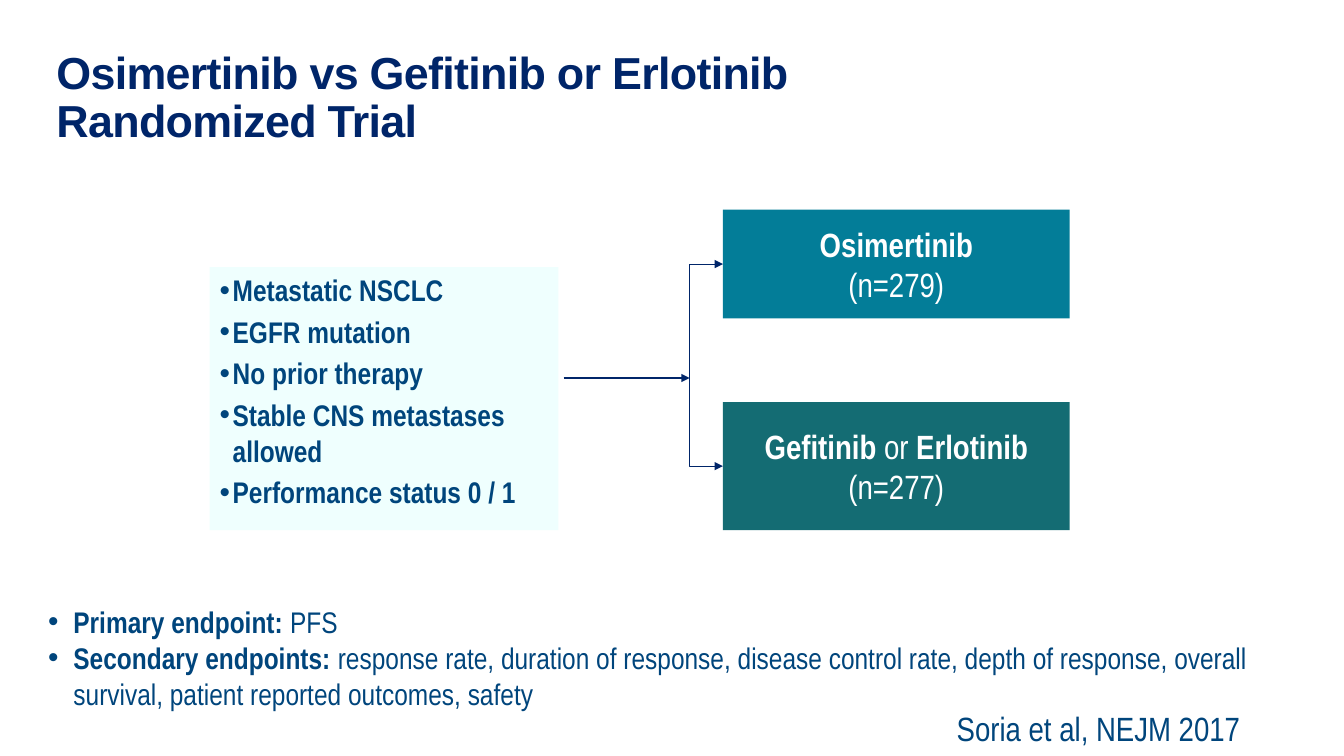
from pptx import Presentation
from pptx.dml.color import RGBColor
from pptx.enum.shapes import MSO_CONNECTOR, MSO_SHAPE
from pptx.enum.text import MSO_ANCHOR, PP_ALIGN
from pptx.oxml.ns import qn
from pptx.util import Inches, Pt
from lxml import etree

RECT = MSO_SHAPE.RECTANGLE
LINE, ELBOW = MSO_CONNECTOR.STRAIGHT, MSO_CONNECTOR.ELBOW
TOP, MIDDLE = MSO_ANCHOR.TOP, MSO_ANCHOR.MIDDLE
LEFT, CENTER = PP_ALIGN.LEFT, PP_ALIGN.CENTER
NAVY, BLUE, WHITE = "002569", "00457C", "FFFFFF"
PALE, TEAL, GREEN = "EFFFFE", "037D98", "146C73"
NARROW = "Arial Narrow"
BODY = 21.33


def color(code):
    return RGBColor.from_string(code)


def add_run(para, text, size, code, bold=False, face=NARROW):
    run = para.add_run()
    run.text = text
    font = run.font
    font.name, font.size, font.bold = face, Pt(size), bold
    font.color.rgb = color(code)
    return run


def add_bullet(para, indent):
    props = para._p.get_or_add_pPr()
    props.set("marL", str(Inches(indent)))
    props.set("indent", str(-Inches(indent)))
    etree.SubElement(props, qn("a:buFont")).set("typeface", "Arial")
    etree.SubElement(props, qn("a:buChar")).set("char", "•")


def set_frame(shape, inset=None, anchor=TOP, wrap=True):
    frame = shape.text_frame
    frame.word_wrap = wrap
    frame.vertical_anchor = anchor
    if inset is not None:
        frame.margin_left = frame.margin_right = Inches(inset)
        frame.margin_top = frame.margin_bottom = Inches(inset)
    return frame


def add_text(slide, box, **look):
    return set_frame(slide.shapes.add_textbox(*map(Inches, box)), **look)


def add_rect(slide, box, fill):
    rect = slide.shapes.add_shape(RECT, *map(Inches, box))
    rect.shadow.inherit = False
    rect.fill.solid()
    rect.fill.fore_color.rgb = color(fill)
    rect.line.fill.background()
    return rect


def fill_rows(frame, rows, size, code, align=LEFT, indent=None, after=0):
    """Each row is a list of (text, bold) runs."""
    for i, row in enumerate(rows):
        para = frame.paragraphs[0] if i == 0 else frame.add_paragraph()
        para.alignment = align
        para.space_after = Pt(after)
        if indent:
            add_bullet(para, indent)
        for text, bold in row:
            add_run(para, text, size, code, bold)


def add_arrow(slide, kind, start, end):
    arrow = slide.shapes.add_connector(kind, *map(Inches, start + end))
    arrow.line.color.rgb = color(NAVY)
    arrow.line.width = Pt(0.75)
    etree.SubElement(arrow.line._ln, qn("a:tailEnd")).set("type", "triangle")
    etree.SubElement(arrow._element.spPr, qn("a:effectLst"))
    return arrow


def add_bend(slide, start, end):
    """One-corner arrow, first vertical and then to the right."""
    (x1, y1), (x2, y2) = start, end
    midx, midy = (x1 + x2) / 2, (y1 + y2) / 2
    halfx, halfy = (x2 - x1) / 2, abs(y2 - y1) / 2
    up = 1 if y2 < y1 else -1
    # Laid on its side, then turned a quarter about its centre
    bend = add_arrow(slide, ELBOW, (midx + halfy, midy + up * halfx),
                     (midx - halfy, midy - up * halfx))
    props = bend._element.spPr
    props.find(qn("a:xfrm")).set("rot", str((180 - up * 90) * 60000))
    props.find(qn("a:prstGeom")).set("prst", "bentConnector2")


def add_title(slide, box, lines):
    para = add_text(slide, box, inset=0).paragraphs[0]
    para.line_spacing = 0.9
    for i, text in enumerate(lines):
        if i:
            para.add_line_break()
        run = add_run(para, text, 32, NAVY, True, "Arial")
        run.font._element.set("spc", "-50")


def add_criteria(slide, box, items):
    frame = set_frame(add_rect(slide, box, PALE))
    fill_rows(frame, [[(item, True)] for item in items], BODY, BLUE,
              indent=0.13, after=4)


def add_arm(slide, box, fill, rows):
    arm = add_rect(slide, box, fill)
    fill_rows(set_frame(arm, 0, MIDDLE), rows, 24, WHITE, CENTER)


def add_trial(slide, box):
    left, top, width, height = box
    first, wide = 3.46, 3.44
    high, low = 1.08, 1.27
    right, bottom = left + width - wide, top + height
    fork = right - 0.33
    add_criteria(slide, (left, top + 0.57, first, height - 0.57), [
        "Metastatic NSCLC", "EGFR mutation", "No prior therapy",
        "Stable CNS metastases allowed", "Performance status 0 / 1"])
    add_arm(slide, (right, top, wide, high), TEAL,
            [[("Osimertinib", True)], [("(n=279)", False)]])
    add_arm(slide, (right, bottom - low, wide, low), GREEN,
            [[("Gefitinib", True), (" or ", False), ("Erlotinib", True)],
             [("(n=277)", False)]])
    # Arrow to the fork, and a branch to each arm
    stem = top + 1.67
    add_arrow(slide, LINE, (left + first + 0.05, stem), (fork, stem))
    for mid in (top + high / 2, bottom - low / 2):
        add_bend(slide, (fork, top + 0.89), (right, mid))


def add_goals(slide, box):
    fill_rows(add_text(slide, box), [
        [("Primary endpoint:", True), (" PFS", False)],
        [("Secondary endpoints: ", True),
         ("response rate, duration of response, disease control rate, "
          "depth of response, overall survival, patient reported outcomes, "
          "safety", False)]], BODY, BLUE, indent=0.25)


def add_source(slide, box):
    frame = add_text(slide, box, wrap=False)
    fill_rows(frame, [[("Soria et al, NEJM 2017", False)]], 24, BLUE)


def main():
    deck = Presentation()
    deck.slide_width, deck.slide_height = Inches(13.33), Inches(7.5)
    slide = deck.slides.add_slide(deck.slide_layouts[6])
    add_title(slide, (0.56, 0.5, 12.23, 1),
              ["Osimertinib vs Gefitinib or Erlotinib", "Randomized Trial"])
    add_trial(slide, (2.08, 2.08, 8.53, 3.18))
    add_goals(slide, (0.38, 5.94, 12.68, 1.18))
    add_source(slide, (9.39, 6.97, 3.05, 0.5))
    deck.save("out.pptx")


if __name__ == "__main__":
    main()
